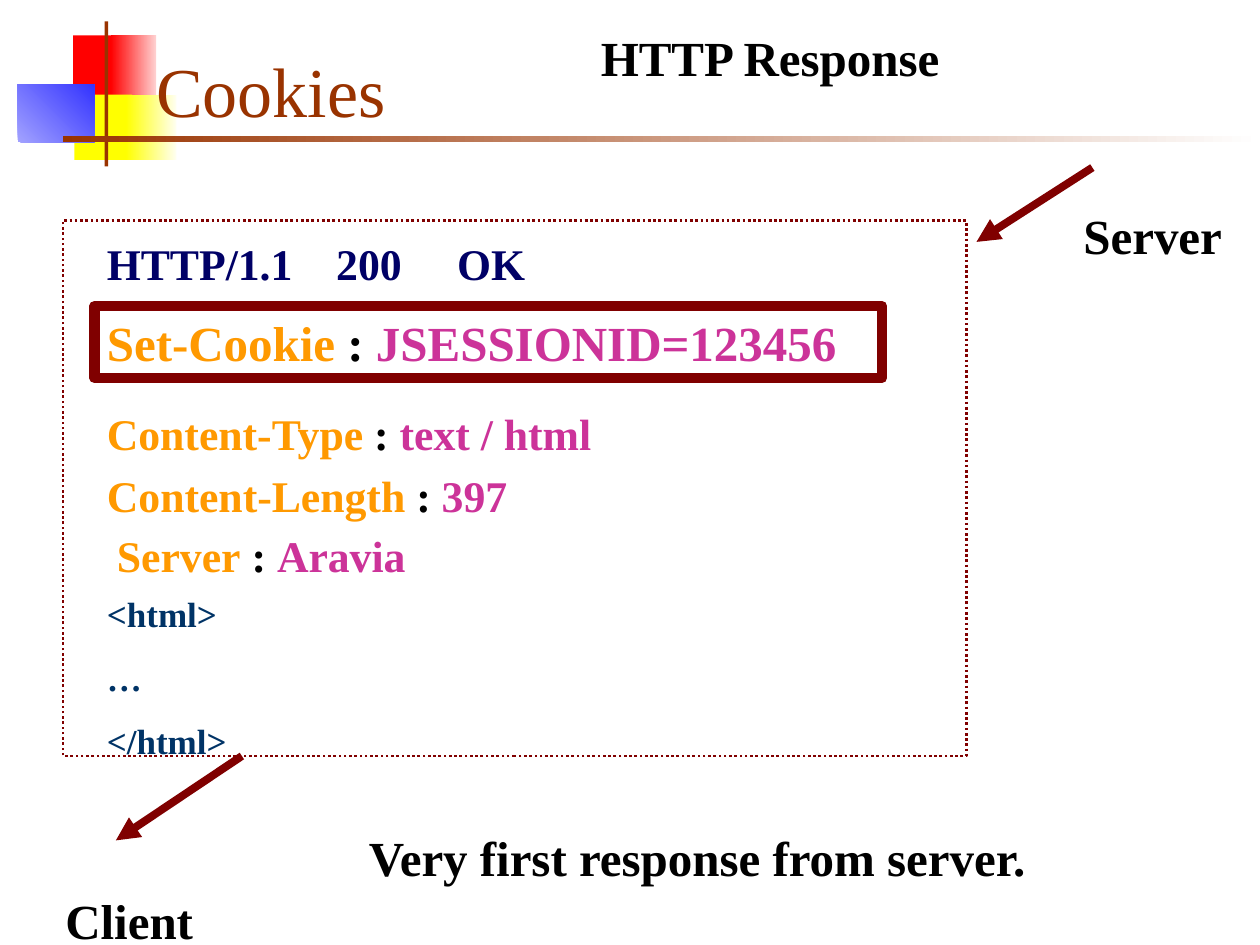
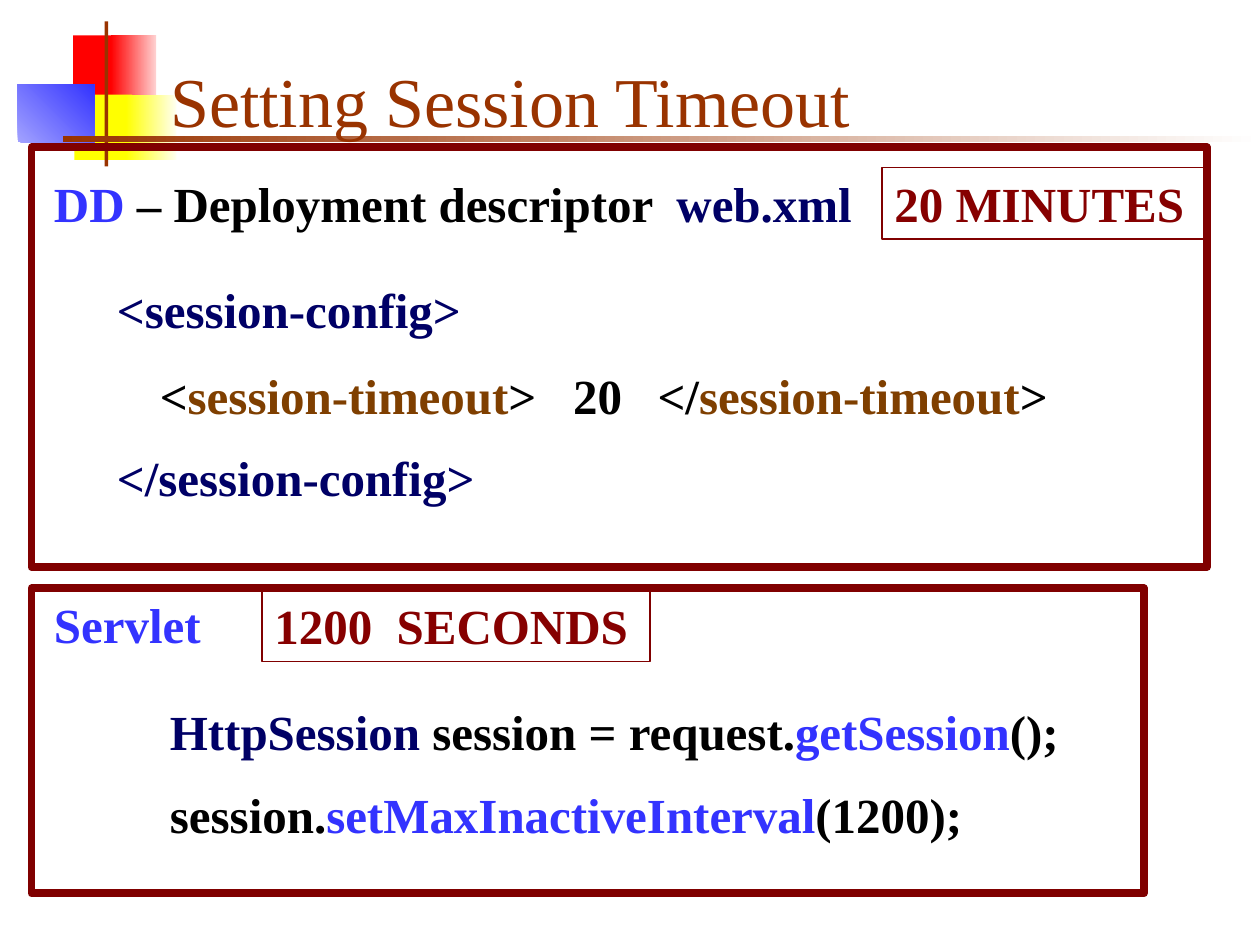
from dataclasses import dataclass
from typing import Optional

from lxml import etree
from pptx import Presentation
from pptx import util as u
from pptx.dml.color import RGBColor
from pptx.enum import dml, shapes, text
from pptx.oxml import ns

BLACK = RGBColor(0x00, 0x00, 0x00)
NAVY = RGBColor(0x00, 0x00, 0x66)
SLATE = RGBColor(0x00, 0x33, 0x66)
BLUE = RGBColor(0x33, 0x33, 0xFF)
PALE_BLUE = RGBColor(0xA2, 0xA2, 0xFF)
ORANGE = RGBColor(0xFF, 0x99, 0x00)
MAGENTA = RGBColor(0xCC, 0x33, 0x99)
BROWN = RGBColor(0x7F, 0x3F, 0x00)
MAROON = RGBColor(0x80, 0x00, 0x00)
DARK_RED = RGBColor(0x86, 0x00, 0x00)
RUST = RGBColor(0x99, 0x33, 0x00)
RED = RGBColor(0xFF, 0x00, 0x00)
PINK = RGBColor(0xFF, 0xD1, 0xD1)
YELLOW = RGBColor(0xFF, 0xFF, 0x00)
CREAM = RGBColor(0xFF, 0xFF, 0xF0)
WHITE = RGBColor(0xFF, 0xFF, 0xFF)

FONT = "Times New Roman"
TITLE_SIZE = 40
LARGE, MEDIUM, SMALL = 28, 25, 20
SPACE_RATIO = 0.625
BOX_HEIGHTS = {LARGE: 0.57, MEDIUM: 0.52, SMALL: 1.45}
HEAVY = 4.5

Run = tuple[str, RGBColor]


@dataclass(frozen=True)
class Band:
    left: float
    top: float
    width: float
    height: float
    start: RGBColor
    end: Optional[RGBColor] = None
    angle: float = 0


@dataclass(frozen=True)
class Label:
    left: float
    top: float
    width: float
    lines: list[list[Run]]
    size: int = LARGE
    border: float = 0
    tabs: tuple[float, ...] = ()


@dataclass(frozen=True)
class Frame:
    left: float
    top: float
    width: float
    height: float
    weight: float = HEAVY
    dash: Optional[dml.MSO_LINE] = None


@dataclass(frozen=True)
class Arrow:
    start: tuple[float, float]
    end: tuple[float, float]


BANDS = [
    Band(0.58, 0.28, 0.35, 0.52, RED),
    Band(0.88, 0.28, 0.36, 0.52, RED, PINK),
    Band(0.59, 0.75, 0.46, 0.52, YELLOW),
    Band(1, 0.75, 0.4, 0.52, YELLOW, CREAM),
    Band(0.14, 0.67, 0.61, 0.46, PALE_BLUE, BLUE, 45),
    Band(0.83, 0.17, 0.03, 1.15, RUST),
    Band(0.5, 1.08, 9.5, 0.05, RUST, WHITE),
]


def header(name: str, value: str) -> list[list[Run]]:
    return [[(name, ORANGE), (" : ", BLACK), (value, MAGENTA)]]


RESPONSE_ITEMS = [
    Label(0.75, 1.83, 4.33, [[("HTTP/1.1\t200\tOK", NAVY)]], MEDIUM, tabs=(1.82, 2.78)),
    Label(0.75, 2.43, 6.25, header("Set-Cookie", "JSESSIONID=123456"), border=6),
    Label(0.75, 3.18, 4.83, header("Content-Type", "text / html"), MEDIUM),
    Label(0.75, 3.67, 4.08, header("Content-Length", "397"), MEDIUM),
    Label(0.83, 4.15, 3.25, header("Server", "Aravia"), MEDIUM),
    Label(4.67, 0.17, 3, [[("HTTP Response", BLACK)]]),
    Frame(0.5, 1.75, 7.17, 4.25, 1.5, dml.MSO_LINE.ROUND_DOT),
    Arrow((8.67, 1.33), (7.75, 1.92)),
    Arrow((1.92, 6), (0.92, 6.67)),
    Label(8.5, 1.58, 1.42, [[("Server", BLACK)]]),
    Label(0.42, 7.02, 1.42, [[("Client", BLACK)]]),
    Label(2.83, 6.52, 5.75, [[("Very first response from server.", BLACK)]]),
    Label(0.75, 4.65, 3.25, [[(line, SLATE)] for line in ("<html>", "…", "</html>")], SMALL),
]

TIMEOUT_ITEMS = [
    Label(0.33, 1.33, 6.75, [[("DD", BLUE), (" – Deployment descriptor\t", BLACK),
                              ("web.xml", NAVY)]], tabs=(4.94,)),
    Label(0.33, 4.67, 1.75, [[("Servlet", BLUE)]]),
    Label(1.25, 5.52, 7.58, [[("HttpSession", NAVY), (" session = request.", BLACK),
                              ("getSession", BLUE), ("();", BLACK)]]),
    Label(1.25, 6.18, 6.75, [[("session.", BLACK), ("setMaxInactiveInterval", BLUE),
                              ("(1200);", BLACK)]]),
    Label(1.17, 2.85, 7.42, [[("<", BLACK), ("session-timeout", BROWN), (">\t20\t</", BLACK),
                              ("session-timeout", BROWN), (">", BLACK)]], tabs=(3.28, 3.95)),
    Label(0.83, 2.17, 3, [[("<session-config>", NAVY)]]),
    Label(0.83, 3.5, 3.33, [[("</session-config>", NAVY)]]),
    Label(7, 1.33, 2.58, [[("20 MINUTES", DARK_RED)]], border=1),
    Label(2.08, 4.68, 3.08, [[("1200\tSECONDS", DARK_RED)]], border=1, tabs=(0.97,)),
    Frame(0.25, 4.67, 8.83, 2.42),
    Frame(0.25, 1.17, 9.33, 3.33),
]


def add_rectangle(slide, left: float, top: float, width: float, height: float):
    shape = slide.shapes.add_shape(
        shapes.MSO_SHAPE.RECTANGLE,
        u.Inches(left), u.Inches(top), u.Inches(width), u.Inches(height))
    shape.shadow.inherit = False
    return shape


def draw_band(slide, band: Band):
    shape = add_rectangle(slide, band.left, band.top, band.width, band.height)
    shape.line.fill.background()
    if band.end is None:
        shape.fill.solid()
        shape.fill.fore_color.rgb = band.start
    else:
        shape.fill.gradient()
        shape.fill.gradient_angle = band.angle
        stops = shape.fill.gradient_stops
        for stop, color, position in zip(stops, (band.start, band.end), (0, 1)):
            stop.color.rgb = color
            stop.position = position
    return shape


def draw_frame(slide, frame: Frame):
    shape = add_rectangle(slide, frame.left, frame.top, frame.width, frame.height)
    shape.fill.background()
    shape.line.color.rgb = MAROON
    shape.line.width = u.Pt(frame.weight)
    if frame.dash is not None:
        shape.line.dash_style = frame.dash
    return shape


def add_tabs(paragraph, positions: tuple[float, ...]) -> None:
    properties = paragraph._p.get_or_add_pPr()
    tab_list = etree.SubElement(properties, ns.qn("a:tabLst"))
    for position in positions:
        etree.SubElement(tab_list, ns.qn("a:tab"), pos=str(u.Inches(position)), algn="l")


def draw_label(slide, label: Label) -> None:
    height = BOX_HEIGHTS[label.size]
    if label.border:
        shape = draw_frame(
            slide, Frame(label.left, label.top, label.width, height, label.border))
    else:
        shape = slide.shapes.add_textbox(
            u.Inches(label.left), u.Inches(label.top), u.Inches(label.width), u.Inches(height))
    frame = shape.text_frame
    frame.word_wrap = True
    frame.vertical_anchor = text.MSO_ANCHOR.TOP
    for index, line in enumerate(label.lines):
        paragraph = frame.add_paragraph() if index else frame.paragraphs[0]
        paragraph.alignment = text.PP_ALIGN.LEFT
        paragraph.space_before = u.Pt(label.size * SPACE_RATIO)
        if label.tabs:
            add_tabs(paragraph, label.tabs)
        for words, color in line:
            run = paragraph.add_run()
            run.text = words
            format_font(run.font, label.size, color, bold=True)


def draw_arrow(slide, arrow: Arrow) -> None:
    ends = [u.Inches(value) for value in (*arrow.start, *arrow.end)]
    connector = slide.shapes.add_connector(shapes.MSO_CONNECTOR.STRAIGHT, *ends)
    connector.line.color.rgb = MAROON
    connector.line.width = u.Pt(HEAVY)
    properties = connector.element.spPr
    etree.SubElement(properties.find(ns.qn("a:ln")), ns.qn("a:tailEnd"), type="triangle")
    etree.SubElement(properties, ns.qn("a:effectLst"))


def format_font(font, size: int, color: RGBColor, bold: bool = False) -> None:
    font.name = FONT
    font.size = u.Pt(size)
    font.bold = bold
    font.color.rgb = color


def set_title(slide, words: str, left: float, top: float) -> None:
    title = slide.shapes.title
    title.left, title.top = u.Inches(left), u.Inches(top)
    title.width, title.height = u.Inches(8.52), u.Inches(0.92)
    frame = title.text_frame
    frame.text = words
    frame.auto_size = text.MSO_AUTO_SIZE.NONE
    frame.vertical_anchor = text.MSO_ANCHOR.BOTTOM
    paragraph = frame.paragraphs[0]
    paragraph.alignment = text.PP_ALIGN.LEFT
    format_font(paragraph.runs[0].font, TITLE_SIZE, RUST)


def decorate_master(presentation, slide) -> None:
    tree = presentation.slide_master.shapes.element
    for index, band in enumerate(BANDS, start=2):
        tree.insert(index, draw_band(slide, band).element)


DRAWERS = {Label: draw_label, Frame: draw_frame, Arrow: draw_arrow}


def add_slide(presentation, title: str, left: float, top: float, items: list):
    slide = presentation.slides.add_slide(presentation.slide_layouts[5])
    set_title(slide, title, left, top)
    for item in items:
        DRAWERS[type(item)](slide, item)
    return slide


def main() -> None:
    presentation = Presentation()
    presentation.slide_width, presentation.slide_height = u.Inches(10), u.Inches(7.5)
    cookies = add_slide(presentation, "Cookies", 1.14, 0.17, RESPONSE_ITEMS)
    add_slide(presentation, "Setting Session Timeout", 1.25, 0.25, TIMEOUT_ITEMS)
    decorate_master(presentation, cookies)
    presentation.save("out.pptx")


if __name__ == "__main__":
    main()
